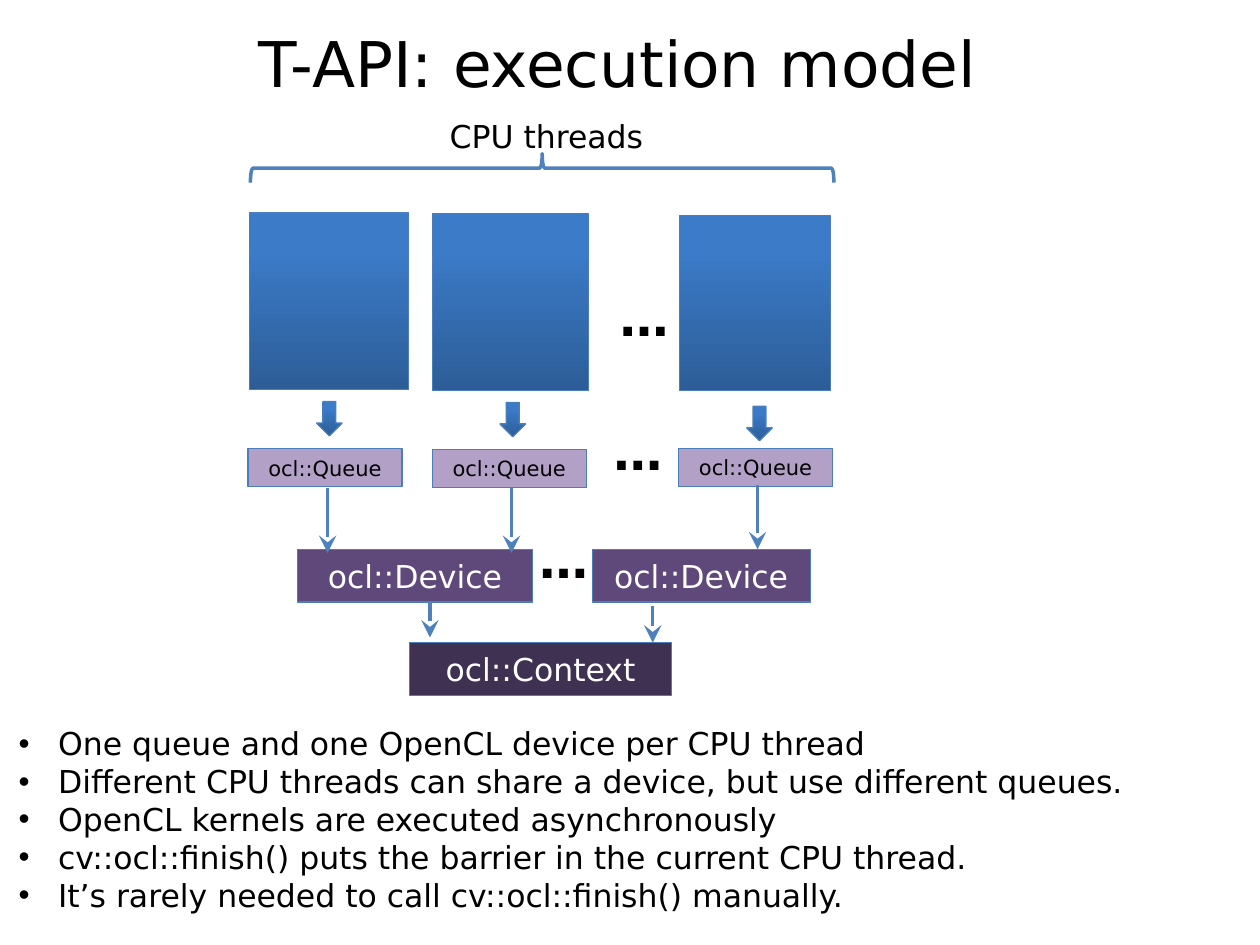
from copy import deepcopy

from pptx import Presentation
from pptx.dml.color import RGBColor
from pptx.enum.shapes import MSO_CONNECTOR as CONN, MSO_SHAPE as SHAPE
from pptx.enum.text import MSO_ANCHOR as ANCHOR, PP_ALIGN as ALIGN
from pptx.oxml.ns import qn
from pptx.oxml.xmlchemy import OxmlElement
from pptx.util import Pt

FONT = "DejaVu Sans"
EDGE, ACCENT = "4A7DBB", "4F81BD"
LILAC, PURPLE, DARK_PURPLE = "B2A0C7", "5F497A", "3F3151"
BLUES = [(0, "2D5D97"), (0.8, "3B7BC8"), (1, "3A7CCA")]
BULLETS = [
    "One queue and one OpenCL device per CPU thread",
    "Different CPU threads can share a device, but use different queues.",
    "OpenCL kernels are executed asynchronously",
    "cv::ocl::finish() puts the barrier in the current CPU thread.",
    "It’s rarely needed to call cv::ocl::finish() manually.",
]
# One row per CPU thread: boxes are (left, top, width, height),
# the block arrow is (left, top), the thin arrow is (x, top, bottom)
THREADS = [
    ((142.6, 121.7, 90.7, 100.8), (141.8, 256.3), (180.9, 229.5), (187.2, 278.6, 316)),
    ((247, 122.1, 89.3, 101.2), (247, 256.8), (285.7, 230), (292.3, 278.6, 316)),
    ((388.2, 123, 86.2, 100.2), (387.8, 256.2), (426.7, 232.2), (432.9, 277.2, 313.9)),
]


def color(value):
    return RGBColor.from_string(value)


def points(values):
    return [Pt(v) for v in values]


def write(s, lines, size, text_color="000000", bold=False, align=ALIGN.LEFT,
          anchor=ANCHOR.TOP, inset=(7.2, 3.6)):
    tf = s.text_frame
    side, end = points(inset)
    frame = dict(word_wrap=True, vertical_anchor=anchor, margin_left=side,
                 margin_right=side, margin_top=end, margin_bottom=end)
    for name, value in frame.items():
        setattr(tf, name, value)
    for i, line in enumerate(lines):
        p = tf.add_paragraph() if i else tf.paragraphs[0]
        p.alignment = align
        r = p.add_run()
        r.text = line
        for name, value in dict(name=FONT, size=Pt(size), bold=bold).items():
            setattr(r.font, name, value)
        r.font.color.rgb = color(text_color)
    return tf


def add_text(slide, box, lines, size, **style):
    return write(slide.shapes.add_textbox(*points(box)), lines, size, **style)


def add_bullets(tf, indent):
    for p in tf.paragraphs:
        pPr = p._p.get_or_add_pPr()
        pPr.set("marL", str(Pt(indent)))
        pPr.set("indent", str(-Pt(indent)))
        for tag, key, value in (("a:buFont", "typeface", "Arial"),
                                ("a:buChar", "char", "•")):
            bullet = OxmlElement(tag)
            bullet.set(key, value)
            pPr.append(bullet)


def add_shape(slide, kind, box, fill=None, line=EDGE, width=0.75):
    s = slide.shapes.add_shape(kind, *points(box))
    s.shadow.inherit = False
    s.line.color.rgb = color(line)
    s.line.width = Pt(width)
    if fill:
        s.fill.solid()
        s.fill.fore_color.rgb = color(fill)
    else:
        s.fill.background()
    return s


def add_gradient_shape(slide, kind, box):
    fill = add_shape(slide, kind, box).fill
    fill.gradient()
    fill.gradient_angle = 90
    stops = fill.gradient_stops
    first = stops[0]._gs
    first.addnext(deepcopy(first))
    for stop, (position, value) in zip(fill.gradient_stops, BLUES):
        stop.position = position
        stop.color.rgb = color(value)


def add_label_box(slide, box, label, fill, size=18, text_color="FFFFFF", inset=(7.2, 3.6)):
    s = add_shape(slide, SHAPE.RECTANGLE, box, fill)
    write(s, [label], size, text_color, align=ALIGN.CENTER, anchor=ANCHOR.MIDDLE, inset=inset)


def add_arrow(slide, x, top, bottom):
    c = slide.shapes.add_connector(CONN.STRAIGHT, *points((x, top, x, bottom)))
    c.line.color.rgb = color(ACCENT)
    c.line.width = Pt(2)
    tail = OxmlElement("a:tailEnd")
    for key, value in dict(type="stealth", w="lg", len="lg").items():
        tail.set(key, value)
    c._element.spPr.find(qn("a:ln")).append(tail)
    c._element.spPr.append(OxmlElement("a:effectLst"))


def main():
    prs = Presentation()
    prs.slide_width, prs.slide_height = Pt(720), Pt(540)
    slide = prs.slides.add_slide(prs.slide_layouts[6])

    # Title and notes on the model
    add_text(slide, (28.8, -0.7, 648, 72.7), ["T-API: execution model"], 36,
             align=ALIGN.CENTER, anchor=ANCHOR.MIDDLE, inset=(6.5, 2.9))
    add_bullets(add_text(slide, (3.6, 410.4, 687.6, 116.6), BULLETS, 18), 22.5)

    # Brace over the CPU threads
    add_text(slide, (249.8, 63.4, 143.3, 28.8), ["CPU threads"], 18)
    brace = add_shape(slide, SHAPE.LEFT_BRACE, (301.5, -70.6, 16.6, 333.4), line=ACCENT, width=2)
    brace.rotation = 90
    brace.adjustments[0] = 0.083

    # Devices and their shared context
    for left, width in ((169.9, 134.6), (338.4, 124.6)):
        add_label_box(slide, (left, 313.9, width, 30.2), "ocl::Device", PURPLE)
    add_label_box(slide, (234, 367.2, 149.8, 30.2), "ocl::Context", DARK_PURPLE)

    # Each thread feeds a queue, each queue a device
    for thread, queue, block_arrow, arrow in THREADS:
        add_gradient_shape(slide, SHAPE.RECTANGLE, thread)
        add_gradient_shape(slide, SHAPE.DOWN_ARROW, (*block_arrow, 14.6, 19.6))
        add_label_box(slide, (*queue, 88, 21.8), "ocl::Queue", LILAC, 12, "000000", (0, 0))
        add_arrow(slide, *arrow)

    # Arrows into the context
    for arrow in ((245.7, 344.2, 364.3), (373, 346.3, 367.2)):
        add_arrow(slide, *arrow)

    # Ellipses for further threads, queues and devices
    for left, top in ((347, 160.6), (343.4, 237.6), (301, 298.8)):
        add_text(slide, (left, top, 30.2, 41), ["…"], 28, bold=True)

    prs.save("out.pptx")


if __name__ == "__main__":
    main()
